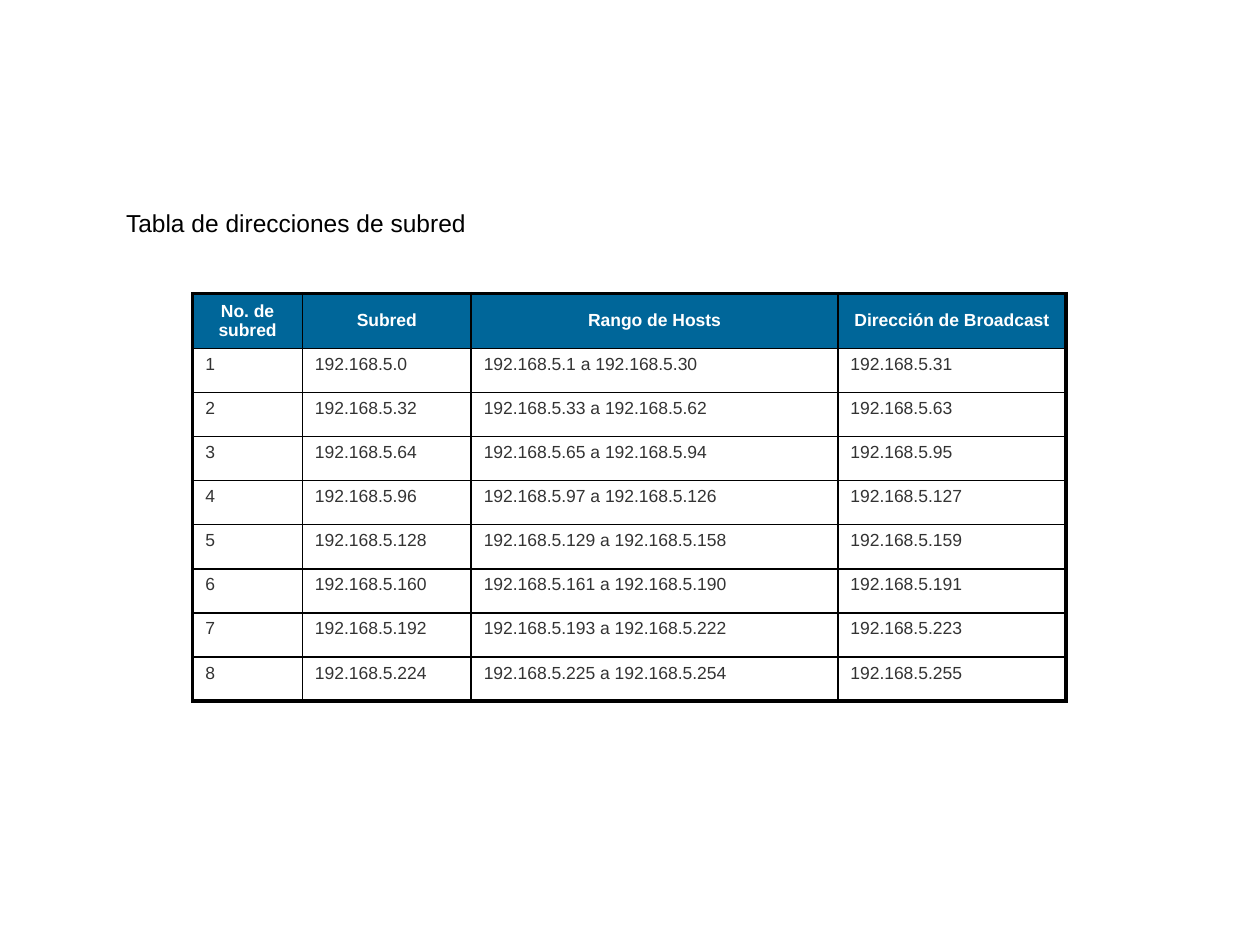
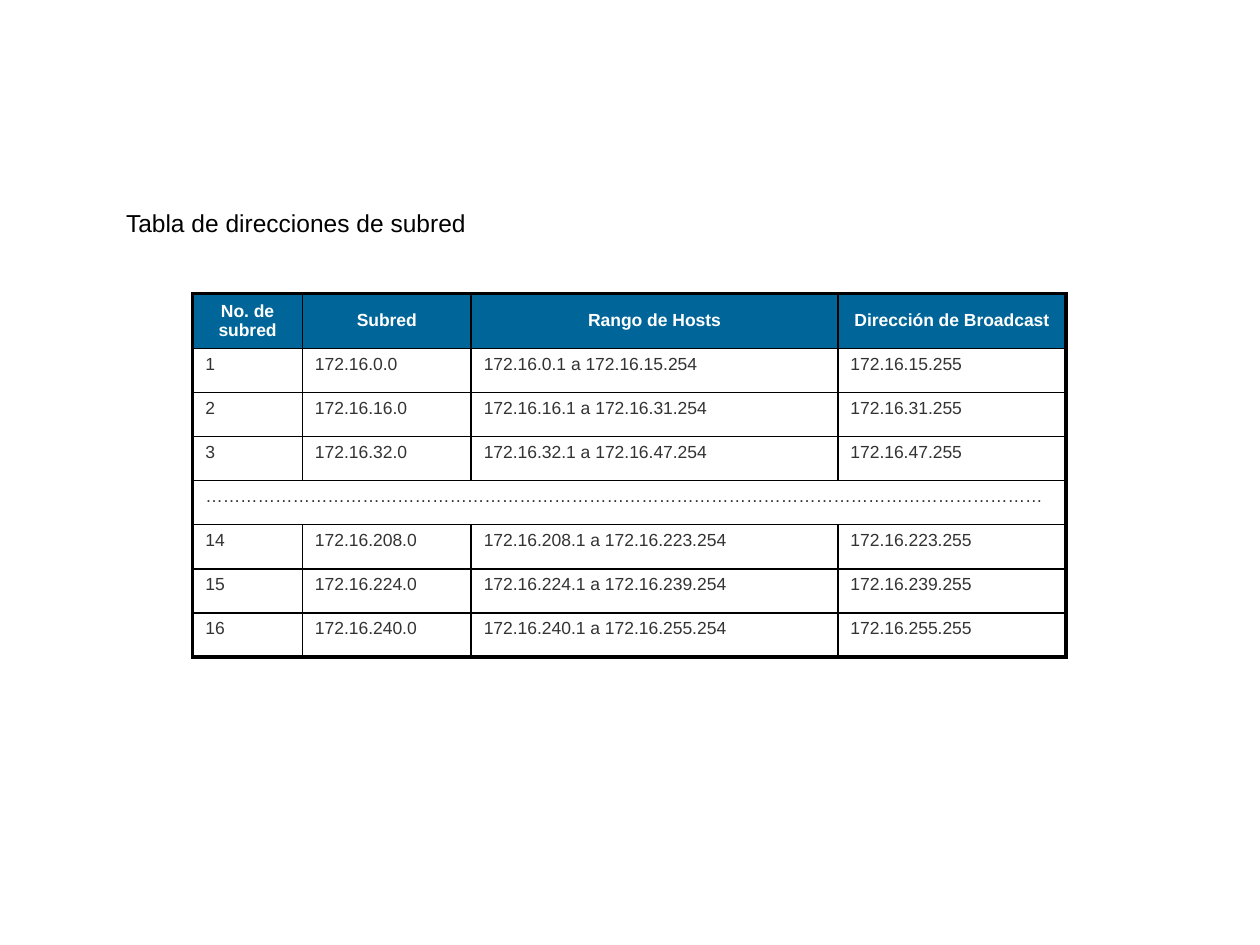
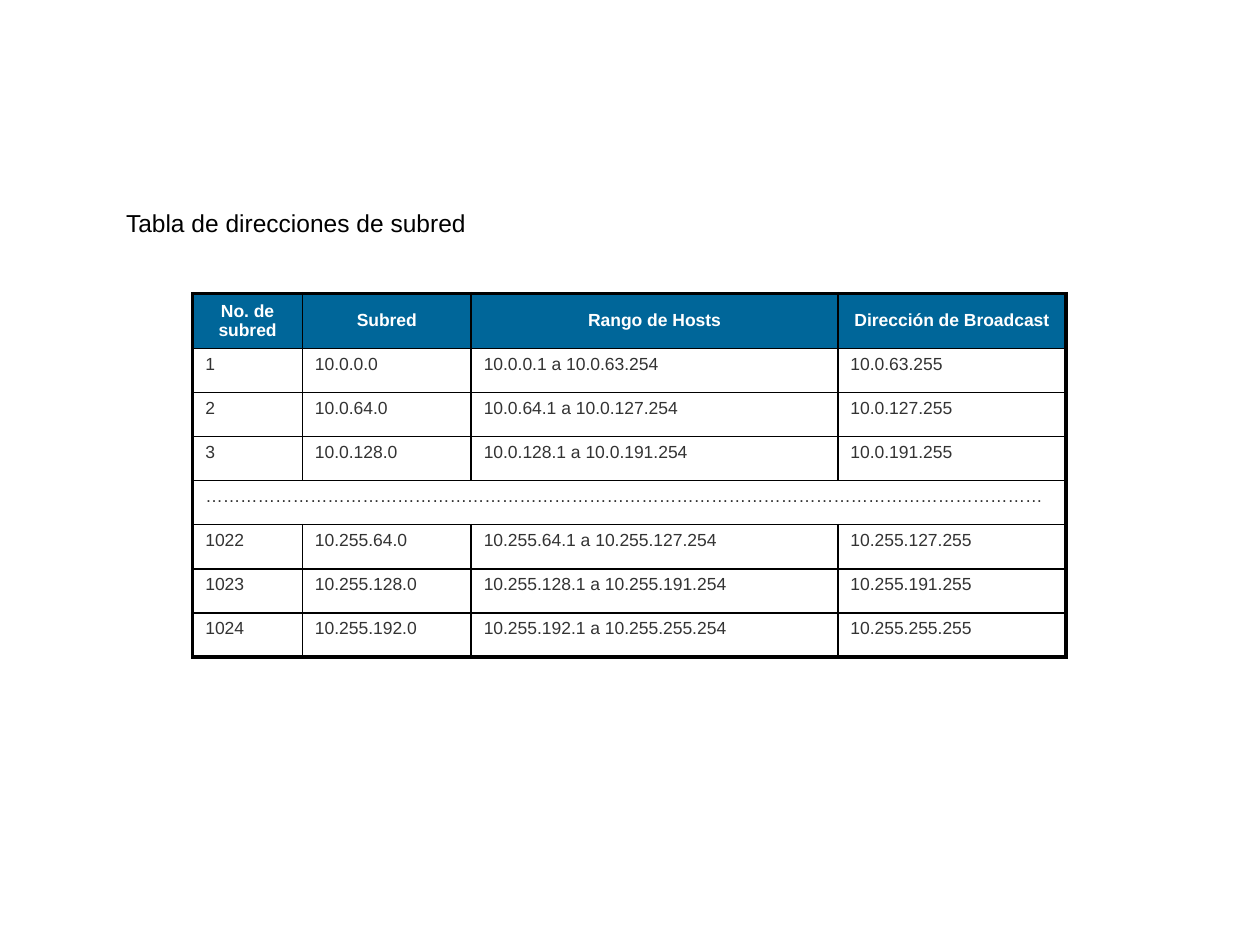
from dataclasses import dataclass

from lxml import etree
from pptx import Presentation
from pptx.dml.color import RGBColor
from pptx.enum.text import MSO_ANCHOR, MSO_AUTO_SIZE, PP_ALIGN
from pptx.oxml.ns import qn
from pptx.slide import Slide
from pptx.table import Table, _Cell
from pptx.text.text import TextFrame
from pptx.util import Inches, Pt

LEFT, CENTER = PP_ALIGN.LEFT, PP_ALIGN.CENTER
TOP, MIDDLE = MSO_ANCHOR.TOP, MSO_ANCHOR.MIDDLE
GROW = MSO_AUTO_SIZE.SHAPE_TO_FIT_TEXT

COLORS = {"header": "006699", "header_text": "FFFFFF", "body_text": "333333", "ink": "000000"}
FONT = "Arial"
TITLE_ONLY = 5
SLIDE_WIDTH, SLIDE_HEIGHT = Inches(10), Inches(7.5)
TITLE = "Tabla de direcciones de subred"
HEADERS = ("No. de subred", "Subred", "Rango de Hosts", "Dirección de Broadcast")
COLUMN_WIDTHS = (0.87, 1.34, 2.91, 1.81)
HEADER_HEIGHT, ROW_HEIGHT = 0.43, 0.35
TABLE_LEFT, TABLE_TOP = 1.53, 2.33
OUTER_LINE, INNER_LINE = 2.25, 1
GAP = "…" * 48


@dataclass(frozen=True)
class SubnetTable:
    network: tuple[int, int, int, int]
    addresses: int
    first: tuple[int, ...]
    last: tuple[int, ...] = ()


SUBNET_TABLES = (
    SubnetTable((192, 168, 5, 0), 32, tuple(range(1, 9))),
    SubnetTable((172, 16, 0, 0), 4096, (1, 2, 3), (14, 15, 16)),
    SubnetTable((10, 0, 0, 0), 16384, (1, 2, 3), (1022, 1023, 1024)),
)


def address(network: tuple[int, int, int, int], offset: int) -> str:
    value = int.from_bytes(bytes(network), "big") + offset
    return ".".join(str(octet) for octet in value.to_bytes(4, "big"))


def subnet_row(subnets: SubnetTable, number: int) -> tuple[str, ...]:
    start = (number - 1) * subnets.addresses
    broadcast = start + subnets.addresses - 1
    subnet, first_host, last_host, final = (
        address(subnets.network, offset)
        for offset in (start, start + 1, broadcast - 1, broadcast)
    )
    return str(number), subnet, f"{first_host} a {last_host}", final


def write_text(
    frame: TextFrame, text: str, *, size: float, color: str,
    bold: bool = False, align: PP_ALIGN = LEFT, space_before: int = 0,
) -> None:
    frame.text = text
    paragraph = frame.paragraphs[0]
    paragraph.alignment = align
    if space_before:
        spacing = etree.SubElement(paragraph._p.get_or_add_pPr(), qn("a:spcBef"))
        etree.SubElement(spacing, qn("a:spcPct"), val=str(space_before * 1000))
    font = paragraph.runs[0].font
    font.name, font.size, font.bold = FONT, Pt(size), bold
    font.color.rgb = RGBColor.from_string(COLORS[color])


def add_borders(cell: _Cell, outer_sides: dict[str, bool]) -> None:
    properties = cell._tc.get_or_add_tcPr()
    for side, outer in outer_sides.items():
        width = Pt(OUTER_LINE if outer else INNER_LINE)
        line = etree.SubElement(properties, qn(f"a:ln{side}"), w=str(width))
        fill = etree.SubElement(line, qn("a:solidFill"))
        etree.SubElement(fill, qn("a:srgbClr"), val=COLORS["ink"])


def format_cell(table: Table, row: int, column: int, text: str) -> None:
    cell = table.cell(row, column)
    add_borders(cell, {
        "L": column == 0,
        "R": column + cell.span_width == len(table.columns),
        "T": row == 0,
        "B": row == len(table.rows) - 1,
    })
    header = row == 0
    if header:
        cell.fill.solid()
        cell.fill.fore_color.rgb = RGBColor.from_string(COLORS["header"])
    else:
        cell.fill.background()
    cell.vertical_anchor = MIDDLE if header else TOP
    write_text(
        cell.text_frame, text, size=10, bold=header, space_before=20,
        color="header_text" if header else "body_text", align=CENTER if header else LEFT,
    )


def add_subnet_table(slide: Slide, subnets: SubnetTable) -> None:
    rows = [HEADERS, *(subnet_row(subnets, number) for number in subnets.first)]
    if subnets.last:
        rows.append((GAP,))
        rows.extend(subnet_row(subnets, number) for number in subnets.last)
    heights = [HEADER_HEIGHT] + [ROW_HEIGHT] * (len(rows) - 1)
    table = slide.shapes.add_table(
        len(rows), len(HEADERS), Inches(TABLE_LEFT), Inches(TABLE_TOP),
        Inches(sum(COLUMN_WIDTHS)), Inches(sum(heights)),
    ).table
    table.first_row = table.horz_banding = False
    for column, width in zip(table.columns, COLUMN_WIDTHS):
        column.width = Inches(width)
    for row_index, (texts, height) in enumerate(zip(rows, heights)):
        table.rows[row_index].height = Inches(height)
        if len(texts) == 1:
            table.cell(row_index, 0).merge(table.cell(row_index, len(HEADERS) - 1))
        for column_index, text in enumerate(texts):
            format_cell(table, row_index, column_index, text)


def place_title(slide: Slide) -> None:
    title = slide.shapes.title
    title.left, title.top = Inches(0.9), Inches(1.6)
    title.width, title.height = Inches(2.9), Inches(0.33)
    frame = title.text_frame
    frame.word_wrap, frame.auto_size, frame.vertical_anchor = False, GROW, TOP
    write_text(frame, TITLE, size=14, color="ink")


def main() -> None:
    presentation = Presentation()
    presentation.slide_width, presentation.slide_height = SLIDE_WIDTH, SLIDE_HEIGHT
    for subnets in SUBNET_TABLES:
        slide = presentation.slides.add_slide(presentation.slide_layouts[TITLE_ONLY])
        place_title(slide)
        add_subnet_table(slide, subnets)
    presentation.save("out.pptx")


if __name__ == "__main__":
    main()
